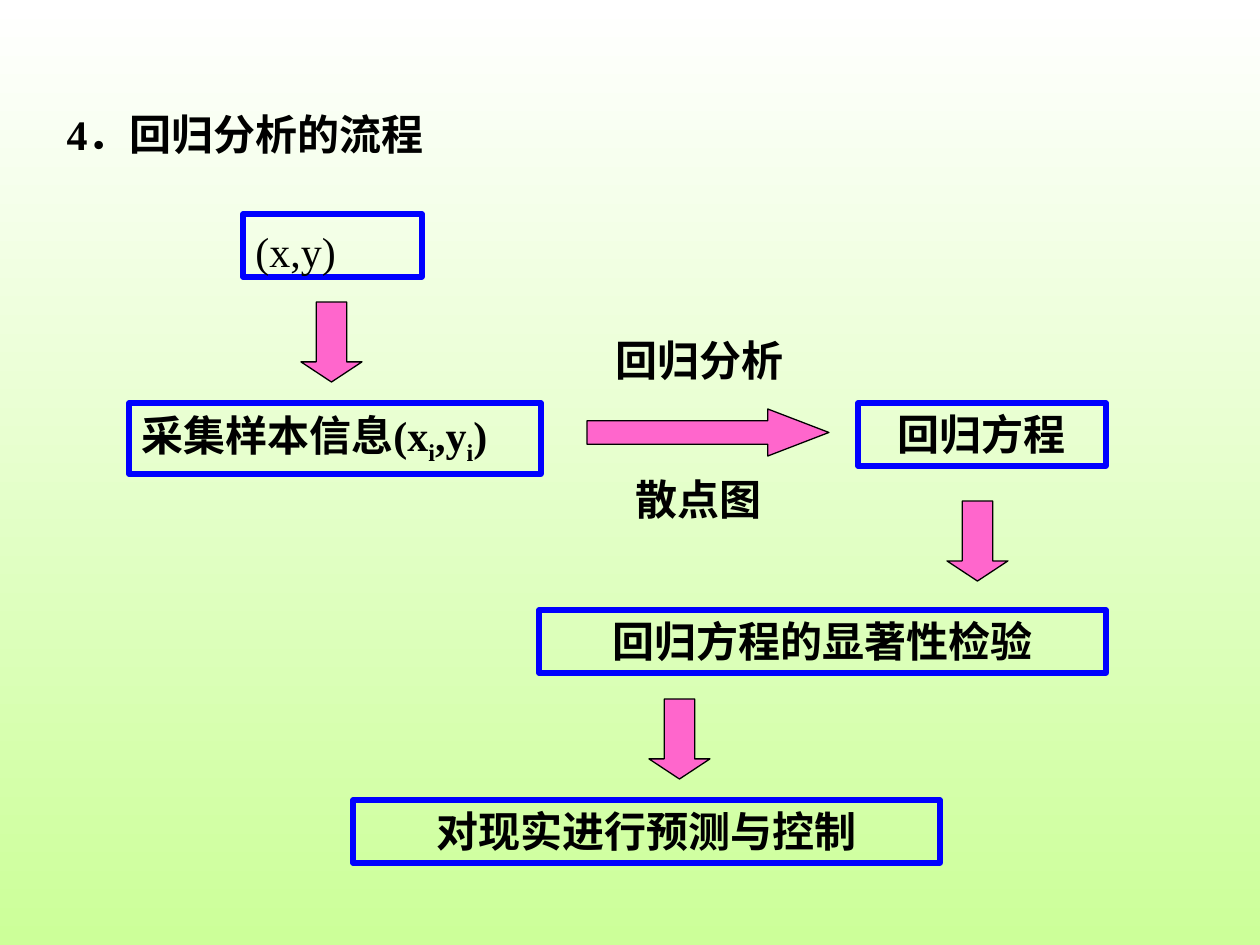
from pptx import Presentation, util as u
from pptx.dml.color import RGBColor
from pptx.enum import shapes, text

PX = 914400 / 126
LEFT, CENTER = text.PP_ALIGN.LEFT, text.PP_ALIGN.CENTER


def px(*values):
    return [u.Emu(round(v * PX)) for v in values]


def write(sp, content, bold=True, align=LEFT, top=6):
    """Fill a shape with text; a part starting with "_" is a subscript."""
    tf = sp.text_frame
    tf.word_wrap = True
    tf.auto_size = text.MSO_AUTO_SIZE.NONE
    tf.vertical_anchor = text.MSO_ANCHOR.TOP
    tf.margin_top, tf.margin_bottom = px(top, 6)
    p = tf.paragraphs[0]
    p.alignment = align
    for part in content.split("|"):
        r = p.add_run()
        r.text = part.lstrip("_")
        r.font.name, r.font.size, r.font.bold = "Times New Roman", u.Pt(24), bold
        r.font.color.rgb = RGBColor.from_string("000000")
        if part.startswith("_"):
            r.font._element.set("baseline", "-25000")


prs = Presentation()
prs.slide_width, prs.slide_height = px(1260, 945)
s = prs.slides.add_slide(prs.slide_layouts[5])

# Background: white at the top to light green at the bottom
fill = s.background.fill
fill.gradient()
fill.gradient_angle = 270
for stop, color, position in zip(fill.gradient_stops, ("FFFFFF", "CCFF99"), (0, 1)):
    stop.color.rgb = RGBColor.from_string(color)
    stop.position = position

# Title
title = s.shapes.title
title.left, title.top, title.width, title.height = px(54, 102, 615, 63)
write(title, "4．回归分析的流程")

# Step boxes
steps = [
    ((243, 214, 179, 63), "(x,y)", dict(bold=False, top=12)),
    ((129, 403, 412, 71), "采集样本信息(x|_i|,y|_i|)", {}),
    ((858, 403, 248, 63), "回归方程", dict(align=CENTER)),
    ((539, 610, 567, 63), "回归方程的显著性检验", dict(align=CENTER)),
    ((353, 800, 587, 63), "对现实进行预测与控制", dict(align=CENTER)),
]
for box, content, style in steps:
    sp = s.shapes.add_shape(shapes.MSO_SHAPE.RECTANGLE, *px(*box))
    sp.shadow.inherit = False
    sp.fill.background()
    sp.line.color.rgb = RGBColor.from_string("0000FF")
    sp.line.width = u.Pt(3)
    write(sp, content, **style)

# Labels above and below the horizontal arrow
for box, content in [((603, 329, 244, 63), "回归分析"), ((623, 468, 203, 63), "散点图")]:
    write(s.shapes.add_textbox(*px(*box)), content)

# Block arrows
right, down = shapes.MSO_SHAPE.RIGHT_ARROW, shapes.MSO_SHAPE.DOWN_ARROW
arrows = [(right, (587, 409, 242, 47), 1.3)]
arrows += [(down, (x, y, 61, 80), 0.33) for x, y in [(301, 302), (947, 501), (649, 699)]]
for kind, box, head in arrows:
    sp = s.shapes.add_shape(kind, *px(*box))
    sp.shadow.inherit = False
    sp.adjustments[0], sp.adjustments[1] = 0.5, head
    sp.fill.solid()
    sp.fill.fore_color.rgb = RGBColor.from_string("FF66CC")
    sp.line.color.rgb = RGBColor.from_string("000000")
    sp.line.width = u.Pt(0.75)

prs.save("out.pptx")
